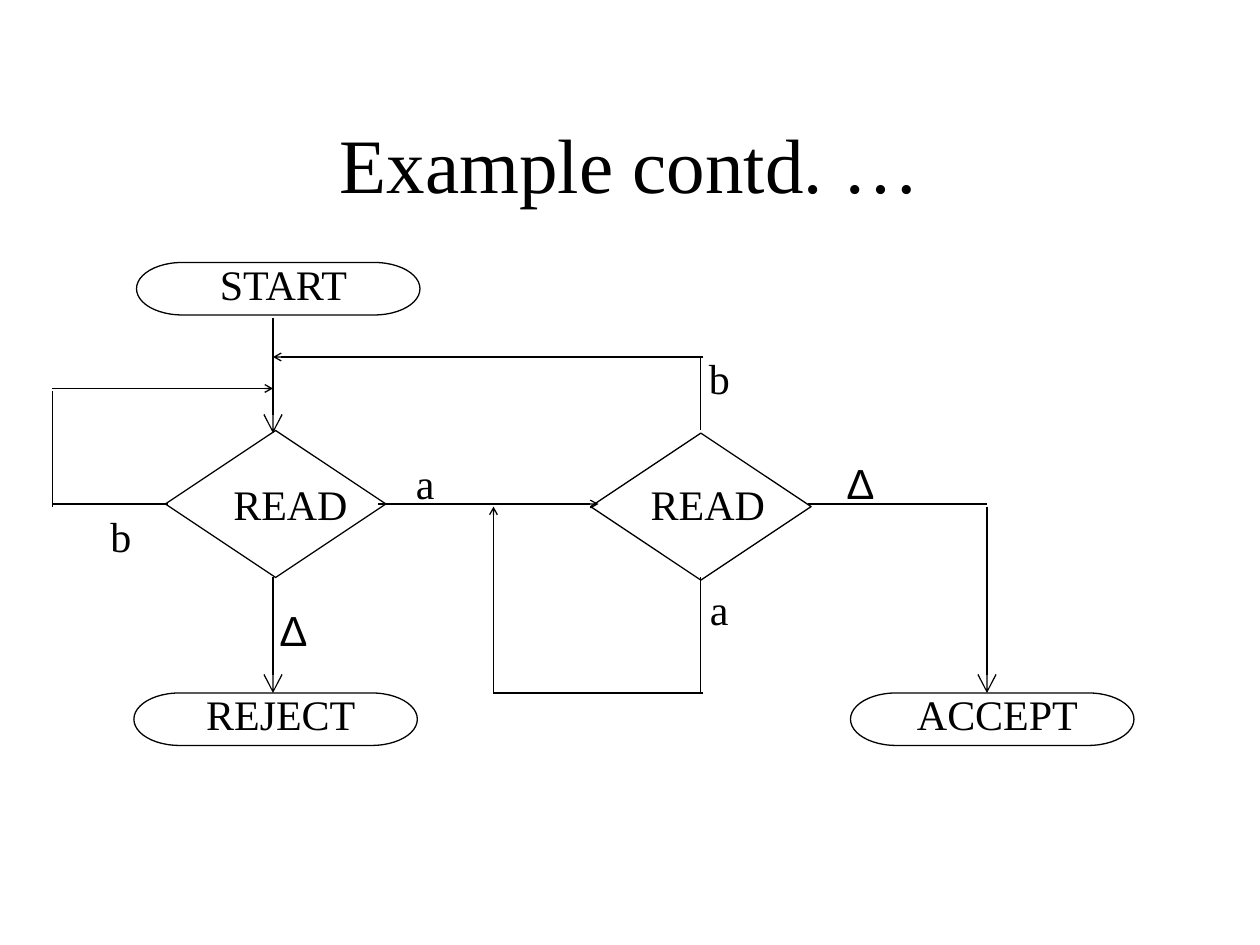
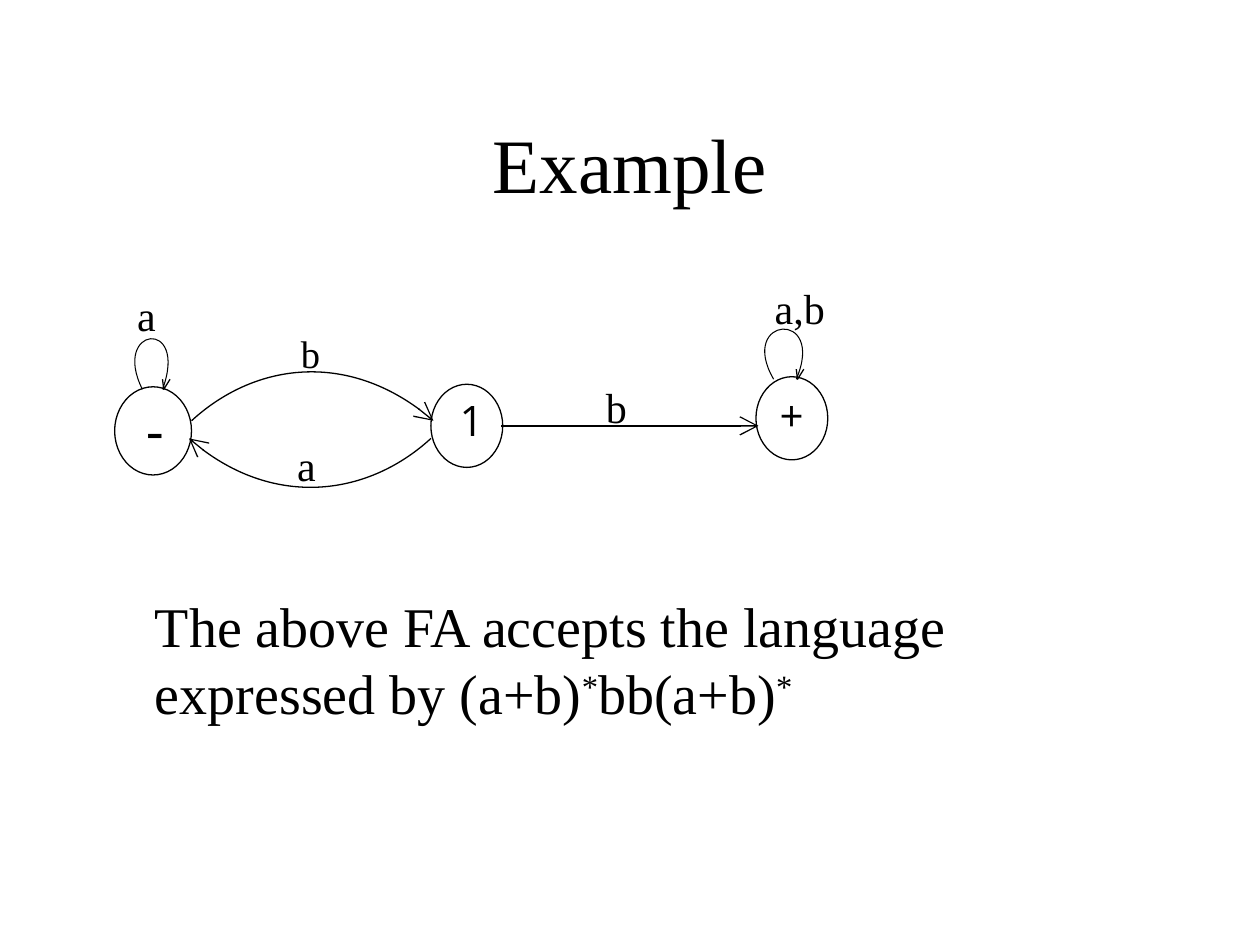
from dataclasses import dataclass

from lxml.etree import SubElement
from pptx import Presentation
from pptx.dml.color import RGBColor
from pptx.enum.shapes import MSO_CONNECTOR, MSO_SHAPE
from pptx.enum.text import MSO_ANCHOR, PP_ALIGN
from pptx.oxml.ns import qn
from pptx.util import Emu, Inches, Pt


@dataclass(frozen=True)
class Theme:
    ink: RGBColor = RGBColor(0, 0, 0)
    paper: RGBColor = RGBColor(255, 255, 255)
    serif: str = "Times New Roman"
    sans: str = "Arial"
    sign: str = "Open Sans"
    title: float = 44
    body: float = 32
    label: float = 24
    small: float = 22
    line: float = 0.75
    thin: float = 0.6


@dataclass(frozen=True)
class Grid:
    """A region of the slide: its corner and its cell size, in inches."""
    left: float
    top: float
    cell: float

    def size(self, cells):
        return Inches(cells * self.cell)

    def point(self, column, row):
        return (Inches(self.left + column * self.cell),
                Inches(self.top + row * self.cell))

    def box(self, column, row, columns, rows):
        return (*self.point(column, row), self.size(columns), self.size(rows))


THEME = Theme()
TWELFTHS = Grid(0, 0, 1 / 12)


# Shared parts

def style_run(span, size, font):
    span.font.size = Pt(size)
    span.font.name = font
    span.font.color.rgb = THEME.ink


def add_text(page, box, text, size=THEME.label, font=THEME.serif,
             align=PP_ALIGN.CENTER, wrap=True):
    frame = page.shapes.add_textbox(*box).text_frame
    frame.word_wrap = wrap
    frame.text = text
    para = frame.paragraphs[0]
    para.alignment = align
    style_run(para.runs[0], size, font)
    return frame


def style_line(shape, width=THEME.line, head=None):
    shape.line.color.rgb = THEME.ink
    shape.line.width = Pt(width)
    if head:
        SubElement(shape.line._get_or_add_ln(), qn("a:tailEnd"),
                   type="arrow", w=head, len=head)


def add_outline(page, kind, box, filled=False):
    shape = page.shapes.add_shape(kind, *box)
    shape.shadow.inherit = False
    if filled:
        shape.fill.solid()
        shape.fill.fore_color.rgb = THEME.paper
    else:
        shape.fill.background()
    style_line(shape)


def add_line(page, grid, start, end, head=None):
    line = page.shapes.add_connector(
        MSO_CONNECTOR.STRAIGHT, *grid.point(*start), *grid.point(*end))
    style_line(line, head=head)
    SubElement(line.element.spPr, qn("a:effectLst"))


def add_path(page, grid, points, curved=False, width=THEME.line, head=None):
    """Draw points as an open outline, or four of them as one cubic curve."""
    corners = [grid.point(*point) for point in points]
    builder = page.shapes.build_freeform(*corners[0])
    builder.add_line_segments(corners[1:], close=False)
    shape = builder.convert_to_shape()
    shape.shadow.inherit = False
    shape.fill.background()
    style_line(shape, width, head)
    if curved:
        outline = next(shape.element.iter(qn("a:path")))
        segments = outline.findall(qn("a:lnTo"))
        curve = SubElement(outline, qn("a:cubicBezTo"))
        for segment in segments:
            curve.append(segment[0])
            outline.remove(segment)


def add_title(page, text):
    frame = add_text(page, TWELFTHS.box(9, 8, 102, 15), text, THEME.title)
    frame.vertical_anchor = MSO_ANCHOR.MIDDLE


# Flowchart

def add_terminator(page, grid, column, row, text):
    add_text(page, grid.box(column + 5, row - 1, 18, 6), text)
    add_outline(page, MSO_SHAPE.FLOWCHART_TERMINATOR,
                grid.box(column, row, 27, 5))


def add_decision(page, grid, column, row, label_column):
    add_outline(page, MSO_SHAPE.FLOWCHART_DECISION,
                grid.box(column, row, 21, 14))
    add_text(page, grid.box(label_column, 45, 13.33, 6), "READ", wrap=False)


def draw_flowchart(page, grid):
    # Start and end states
    add_terminator(page, grid, 13, 25, "START")
    add_terminator(page, grid, 12.75, 66, "REJECT")
    add_terminator(page, grid, 81, 66, "ACCEPT")

    # Decisions
    add_decision(page, grid, 15.75, 41, 21)
    add_decision(page, grid, 56.25, 41.25, 60.75)

    # Flow lines: start, end, arrowhead size
    for start, end, head in (
            ((26, 30.25), (26, 41.25), "lg"),
            ((26, 55), (26, 66), "lg"),
            ((94, 48.25), (94, 66), "lg"),
            ((36, 48), (57, 48), "sm"),
            ((77, 48), (94, 48), None),
            # Left loop on b
            ((5, 48), (16, 48), None),
            ((5, 37.25), (5, 48.25), None),
            ((5, 37), (26, 37), "sm"),
            # Return on b
            ((66.75, 34), (66.75, 41), None),
            ((67, 34), (26, 34), "sm"),
            # Lower loop on a
            ((66.75, 55), (66.75, 66), None),
            ((67, 66), (47, 66), None),
            ((47, 66), (47, 48.25), "sm")):
        add_line(page, grid, start, end, head)

    # Letters read along the lines
    for column, row, text, font in (
            (36, 43, "a", THEME.serif), (64, 55, "a", THEME.serif),
            (7, 48, "b", THEME.serif), (64, 33, "b", THEME.serif),
            (78, 43, "∆ ", THEME.sans), (24, 57, "∆ ", THEME.sans)):
        add_text(page, grid.box(column, row, 9, 6), text, font=font)


# Finite automaton

def add_loop(page, grid, points):
    add_path(page, grid, points, curved=True, width=THEME.thin)
    column, row = points[-1]
    add_path(page, grid, [(column + 6, row - 8), (column + 1, row),
                          (column, row - 8)])


def draw_automaton(page, grid):
    # States: ellipse, then its sign
    for ellipse, sign, text, size in (
            ((1, 87, 61, 70), (16, 89), "-", THEME.body),
            ((252, 85, 57, 66), (265, 88), "1", THEME.label),
            ((510, 79, 57, 66), (519, 84), "+", THEME.label)):
        add_outline(page, MSO_SHAPE.OVAL, grid.box(*ellipse), filled=True)
        add_text(page, grid.box(*sign, 36, 40), text, size, THEME.sign,
                 PP_ALIGN.LEFT)

    # Transitions between states
    for arc in (((252, 128), (203, 173), (123, 184), (60, 128)),
                ((62, 114), (111, 69), (190, 58), (254, 114))):
        add_path(page, grid, arc, curved=True, head="lg")
    add_line(page, grid, (308, 118), (512, 118), "lg")

    # Loops on the first and last state
    add_loop(page, grid, [(23, 89), (-2, 39), (60, 32), (39, 89)])
    add_loop(page, grid, [(524, 81), (495, 31), (566, 25), (542, 81)])

    # Transition letters
    for column, row, text, size in (
            (9, 5, "a", THEME.label), (139, 37, "b", THEME.small),
            (136, 124, "a", THEME.label), (381, 78, "b", THEME.label),
            (515, -1, "a,b", THEME.label)):
        add_text(page, grid.box(column, row, 95, 52), text, size,
                 align=PP_ALIGN.LEFT)


def add_statement(page, box, parts):
    """Body text in the lower part of its box; (text, raised) parts."""
    frame = add_text(page, box, parts[0][0], THEME.body, align=PP_ALIGN.LEFT)
    frame.margin_top = Inches(2.53)
    frame.margin_left = Inches(0.48)
    para = frame.paragraphs[0]
    for text, raised in parts[1:]:
        span = para.add_run()
        span.text = text
        style_run(span, THEME.body, THEME.serif)
        if raised:
            span.font._element.set("baseline", "30000")


# Deck

deck = Presentation()
deck.slide_width, deck.slide_height = Inches(10), Inches(7.5)
blank = deck.slide_layouts[6]

page = deck.slides.add_slide(blank)
add_title(page, "Example contd. …")
draw_flowchart(page, TWELFTHS)

page = deck.slides.add_slide(blank)
add_title(page, "Example")
draw_automaton(page, Grid(0.9, 2.2, 0.01))
add_statement(page, TWELFTHS.box(9, 26, 102, 54), [
    ("The above FA accepts the language expressed by (a+b)", False),
    ("*", True), ("bb(a+b)", False), ("*", True)])

deck.save("out.pptx")
